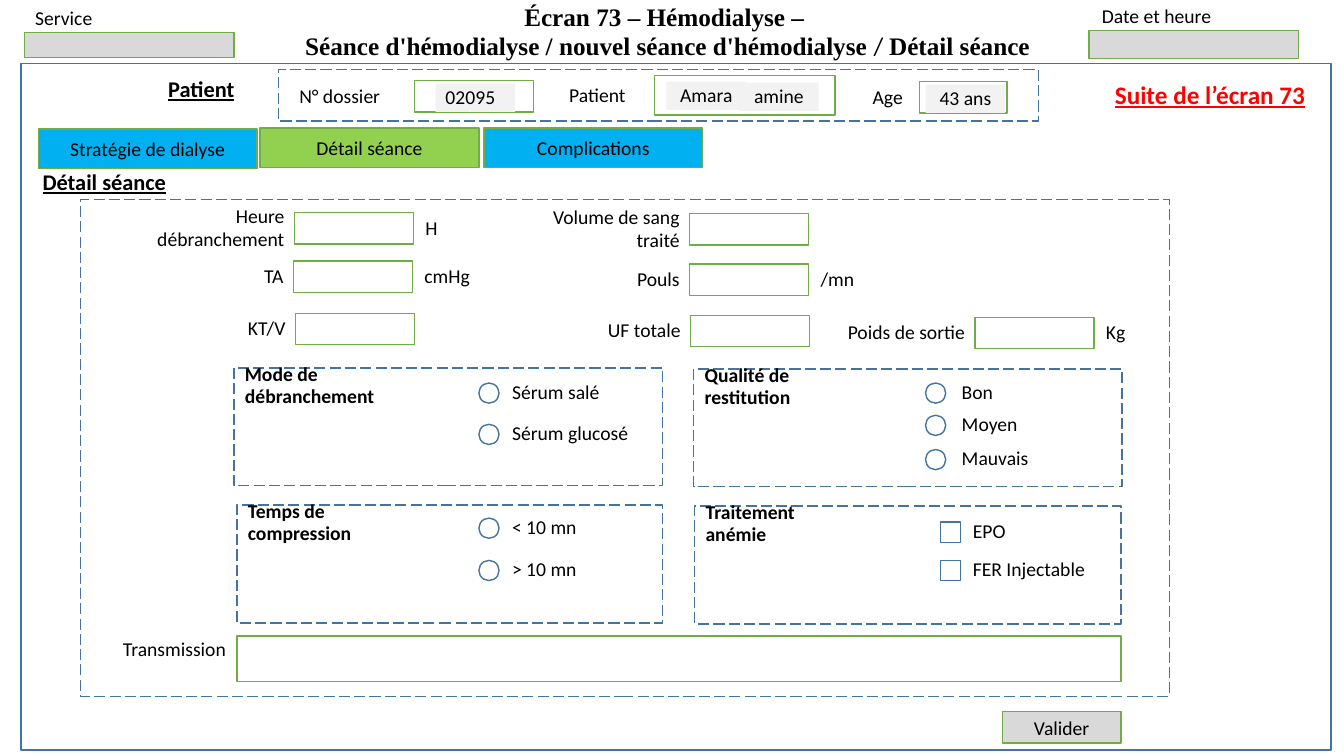
from dataclasses import dataclass

from pptx import Presentation
from pptx.dml.color import RGBColor
from pptx.enum.dml import MSO_LINE
from pptx.enum.shapes import MSO_SHAPE
from pptx.enum.text import MSO_ANCHOR, MSO_AUTO_SIZE, PP_ALIGN
from pptx.util import Inches, Pt

LEFT, CENTER, RIGHT = PP_ALIGN.LEFT, PP_ALIGN.CENTER, PP_ALIGN.RIGHT
TOP, MIDDLE, BOTTOM = MSO_ANCHOR.TOP, MSO_ANCHOR.MIDDLE, MSO_ANCHOR.BOTTOM
RECTANGLE, OVAL = MSO_SHAPE.RECTANGLE, MSO_SHAPE.OVAL
LONG_DASH = MSO_LINE.LONG_DASH
NO_AUTOFIT = MSO_AUTO_SIZE.NONE


@dataclass(frozen=True)
class Theme:
    body_font: str = "Calibri"
    title_font: str = "Times New Roman"
    body: int = 14
    heading: int = 16
    title: int = 18
    text: str = "000000"
    alert: str = "FF0000"
    frame: str = "43739E"
    field: str = "70AD47"
    gray: str = "D9D9D9"
    pale: str = "F2F2F2"
    tab: str = "00B0F0"
    active_tab: str = "92D050"


THEME = Theme()
FIELD_WIDTH, FIELD_HEIGHT, MARKER_SIZE = 1.18, 0.31, 0.2

TITLE_BOX = (2.58, 0.07, 8.08, 0.59)
TITLE_LINES = [
    [("Écran 73 – Hémodialyse – ", True)],
    [("Séance d'hémodialyse / nouvel séance d'hémodialyse ", True), ("/ ", False), ("Détail séance", True)],
]
SCREEN_BOX = (0.21, 0.63, 12.99, 6.81)
DASHED_BOXES = [(2.76, 0.69, 7.54, 0.51), (0.8, 1.98, 10.8, 4.93)]
HEADER_FIELDS = [
    ("Service", (0.25, 0.01, 1.4, 0.34), (0.24, 0.32, 2.08, 0.25)),
    ("Date et heure", (10.83, -0.01, 1.3, 0.34), (10.8, 0.3, 2.08, 0.28)),
]
HEADINGS = [
    ("Patient", (1.57, 0.65, 1.18, 0.48), THEME.heading, THEME.text, LEFT),
    ("Détail séance", (0.2, 1.66, 1.67, 0.31), THEME.heading, THEME.text, CENTER),
    ("Suite de l’écran 73", (10.96, 0.71, 2.23, 0.48), THEME.title, THEME.alert, LEFT),
]
PATIENT_FIELDS = [
    ("N° dossier", (2.81, 0.75, 1.12, 0.43), (4.11, 0.8, 1.18, 0.31), [("02095", 4.32, 0.83, LEFT)]),
    ("Patient", (5.4, 0.74, 1.05, 0.43), (6.49, 0.75, 1.79, 0.39),
     [("Amara", 6.61, 0.81, CENTER), ("amine", 7.33, 0.82, CENTER)]),
    ("Age", (8.5, 0.76, 0.61, 0.42), (9.12, 0.81, 0.87, 0.31), [("43 ans", 9.18, 0.84, CENTER)]),
]
BUTTONS = [
    ("Stratégie de dialyse", (0.38, 1.28, 2.17, 0.39), THEME.tab),
    ("Détail séance", (2.58, 1.27, 2.17, 0.39), THEME.active_tab),
    ("Complications", (4.8, 1.27, 2.17, 0.39), THEME.tab),
    ("Valider", (9.94, 7.06, 1.18, 0.31), THEME.gray),
]
FORM_FIELDS = [
    ("Heure débranchement", 1.95, 2.92, 2.11, "H"),
    ("TA", 0.41, 2.91, 2.59, "cmHg"),
    ("KT/V", 0.66, 2.93, 3.11, ""),
    ("Volume de sang traité", 1.87, 6.84, 2.12, ""),
    ("Pouls", 0.63, 6.84, 2.62, "/mn"),
    ("UF totale", 0.98, 6.85, 3.13, ""),
    ("Poids de sortie", 1.47, 9.67, 3.15, "Kg"),
]
TRANSMISSION = ("Transmission", (1.04, 6.29, 1.3, 0.31), (2.35, 6.31, 8.77, 0.45))
CHOICE_GROUPS = [
    ("Mode de débranchement", 2.22, (2.32, 3.65, 4.25, 1.17), OVAL, 4.75, 4.98,
     [("Sérum salé", 3.8), ("Sérum glucosé", 4.21)]),
    ("Qualité de restitution", 1.91, (6.88, 3.66, 4.25, 1.17), OVAL, 9.18, 9.44,
     [("Bon", 3.8), ("Moyen", 4.12), ("Mauvais", 4.46)]),
    ("Temps de compression", 1.99, (2.35, 5.01, 4.22, 1.17), OVAL, 4.75, 4.98,
     [("< 10 mn", 5.14), ("> 10 mn", 5.56)]),
    ("Traitement anémie", 1.67, (6.89, 5.02, 4.23, 1.17), RECTANGLE, 9.33, 9.55,
     [("EPO", 5.18), ("FER Injectable", 5.56)]),
]


def format_font(font, name=THEME.body_font, size=THEME.body, color=THEME.text, bold=False, underline=False):
    font.name = name
    font.size = Pt(size)
    font.bold = bold
    font.underline = underline
    font.color.rgb = RGBColor.from_string(color)


def write_text(shape, text, align=LEFT, anchor=MIDDLE, spacing=0.95, wrap=True, **font_format):
    frame = shape.text_frame
    frame.word_wrap = wrap
    frame.vertical_anchor = anchor
    paragraph = frame.paragraphs[0]
    paragraph.alignment = align
    paragraph.line_spacing = spacing
    run = paragraph.add_run()
    run.text = text
    format_font(run.font, **font_format)


def add_text(slide, text, box, **text_format):
    write_text(slide.shapes.add_textbox(*map(Inches, box)), text, **text_format)


def add_box(slide, box, kind=RECTANGLE, fill=None, line=None, dashed=False):
    shape = slide.shapes.add_shape(kind, *map(Inches, box))
    shape.shadow.inherit = False
    if fill:
        shape.fill.solid()
        shape.fill.fore_color.rgb = RGBColor.from_string(fill)
    else:
        shape.fill.background()
    if line:
        shape.line.color.rgb = RGBColor.from_string(line)
        shape.line.width = Pt(1)
        if dashed:
            shape.line.dash_style = LONG_DASH
    else:
        shape.line.fill.background()
    return shape


def add_title(slide):
    title = slide.shapes.title
    title.left, title.top, title.width, title.height = map(Inches, TITLE_BOX)
    frame = title.text_frame
    frame.auto_size = NO_AUTOFIT
    frame.word_wrap = True
    frame.vertical_anchor = BOTTOM
    for index, runs in enumerate(TITLE_LINES):
        paragraph = frame.add_paragraph() if index else frame.paragraphs[0]
        paragraph.alignment = CENTER
        paragraph.line_spacing = 0.95
        for text, bold in runs:
            run = paragraph.add_run()
            run.text = text
            name = THEME.title_font if bold else THEME.body_font
            format_font(run.font, name=name, size=THEME.title, bold=bold)


def add_header(slide):
    for text, label_box, field_box in HEADER_FIELDS:
        add_box(slide, field_box, fill=THEME.gray, line=THEME.field)
        add_text(slide, text, label_box, anchor=TOP, spacing=1.0, wrap=False)
    for text, box, size, color, align in HEADINGS:
        add_text(slide, text, box, align=align, size=size, color=color, bold=True, underline=True)
    for label, label_box, field_box, values in PATIENT_FIELDS:
        add_text(slide, label, label_box, align=CENTER)
        add_box(slide, field_box, line=THEME.field)
        for value, left, top, align in values:
            write_text(add_box(slide, (left, top, 0.79, 0.28), fill=THEME.pale), value, align=align)
    for text, box, fill in BUTTONS:
        write_text(add_box(slide, box, fill=fill, line=THEME.field), text, align=CENTER, spacing=1.0)


def add_form(slide):
    for label, label_width, left, top, unit in FORM_FIELDS:
        add_box(slide, (left, top, FIELD_WIDTH, FIELD_HEIGHT), line=THEME.field)
        add_text(slide, label, (left - label_width, top, label_width, FIELD_HEIGHT), align=RIGHT)
        if unit:
            add_text(slide, unit, (left + FIELD_WIDTH + 0.02, top, 0.72, FIELD_HEIGHT))
    label, label_box, field_box = TRANSMISSION
    add_text(slide, label, label_box, align=RIGHT)
    add_box(slide, field_box, line=THEME.field)


def add_choices(slide):
    for heading, heading_width, box, kind, marker_left, label_left, choices in CHOICE_GROUPS:
        add_box(slide, box, line=THEME.frame, dashed=True)
        add_text(slide, heading, (box[0] + 0.01, box[1] + 0.02, heading_width, 0.31), bold=True)
        for text, top in choices:
            add_box(slide, (marker_left, top, MARKER_SIZE, MARKER_SIZE), kind=kind, line=THEME.frame)
            add_text(slide, text, (label_left, top - 0.06, 1.38, 0.31))


def main():
    presentation = Presentation()
    presentation.slide_width, presentation.slide_height = Inches(13.33), Inches(7.5)
    slide = presentation.slides.add_slide(presentation.slide_layouts[5])
    add_box(slide, SCREEN_BOX, line=THEME.frame)
    for box in DASHED_BOXES:
        add_box(slide, box, line=THEME.frame, dashed=True)
    add_title(slide)
    add_header(slide)
    add_form(slide)
    add_choices(slide)
    presentation.save("out.pptx")


if __name__ == "__main__":
    main()
